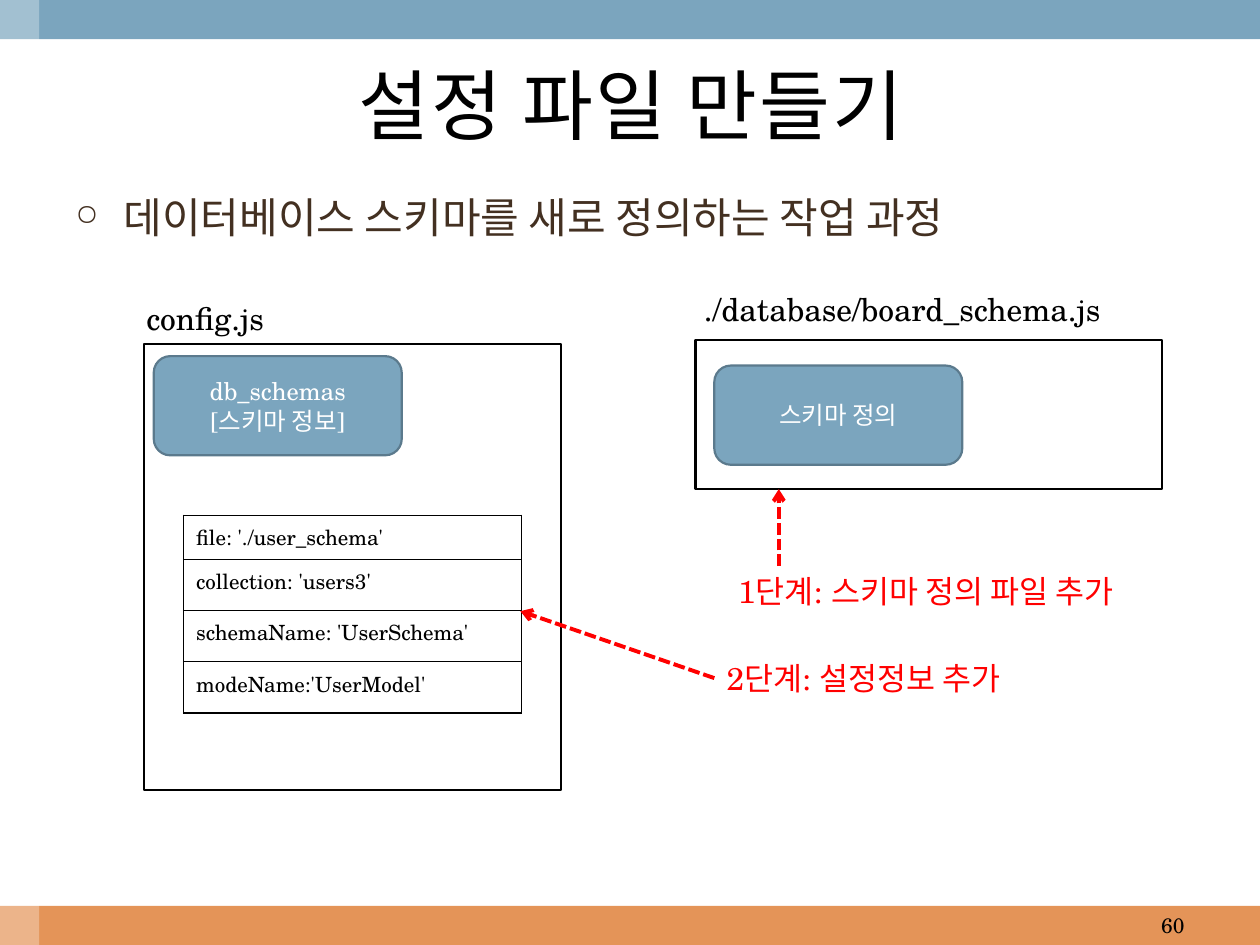
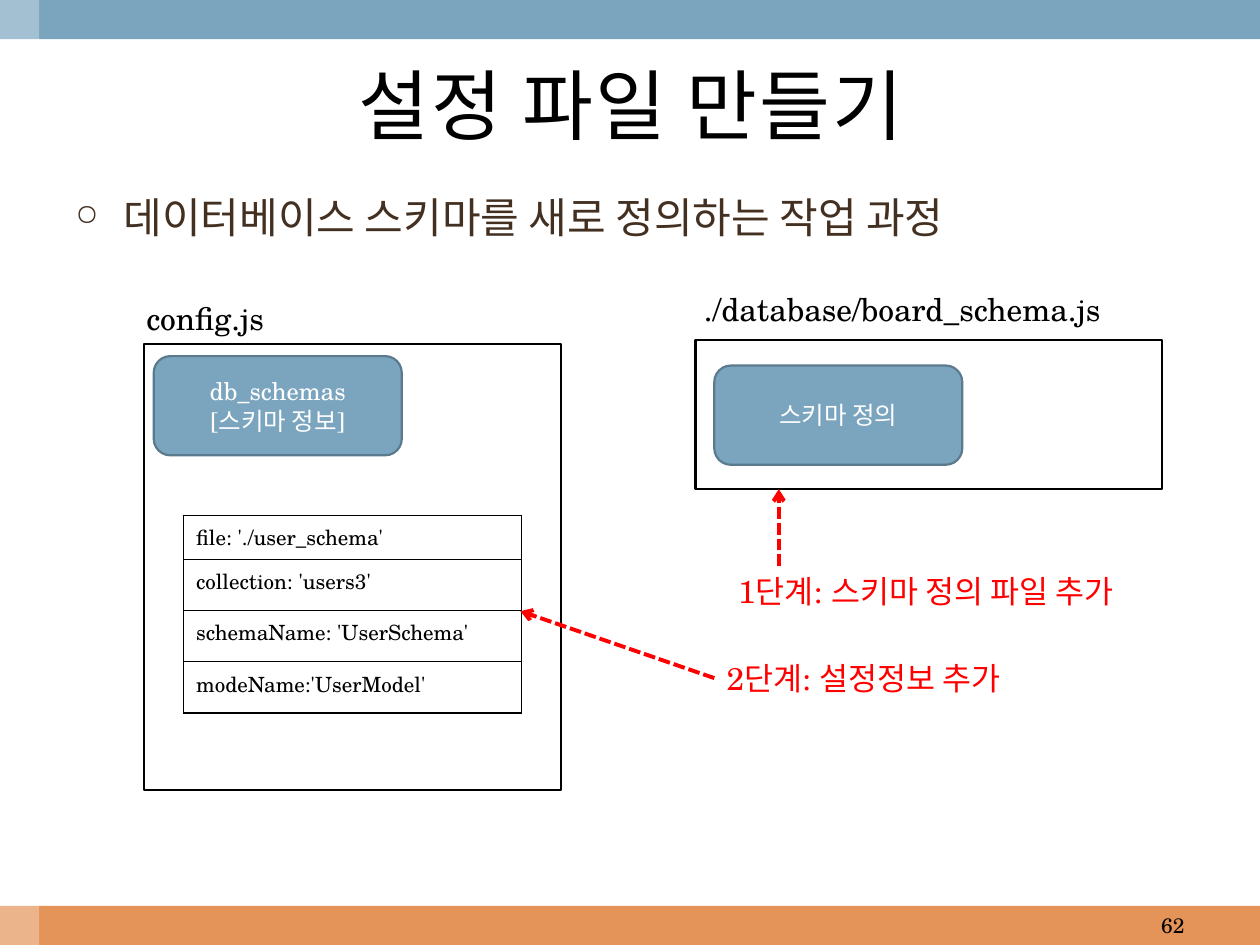
from lxml.etree import SubElement
from pptx import Presentation
from pptx.dml.color import RGBColor
from pptx.enum.dml import MSO_LINE
from pptx.enum.shapes import MSO_CONNECTOR, MSO_SHAPE
from pptx.enum.text import MSO_ANCHOR, PP_ALIGN
from pptx.oxml.ns import qn
from pptx.util import Cm, Pt

FONT = "TeX Gyre Schola"
BLACK, WHITE, RED = "000000", "FFFFFF", "FF0000"
BLUE, DARK_BLUE, ORANGE, BROWN = "7BA5BE", "5B7A8D", "E49458", "433021"
SLIDE_WIDTH, SLIDE_HEIGHT, BAND = 25.4, 19.05, 0.79
BLOCK_WIDTH, BLOCK_HEIGHT = 5, 2
LABEL_HEIGHT = 1.02
ROW_HEIGHTS = [0.89, 1.03, 1.03, 1.03]
SCHEMA_ENTRIES = [
    "file: './user_schema'",
    "collection: 'users3'",
    "schemaName: 'UserSchema'",
    "modeName:'UserModel'",
]


def color(hex_code):
    """Turn a hex string into a colour."""
    return RGBColor.from_string(hex_code)


def write_text(frame, text, size=18, ink=BLACK, align=PP_ALIGN.LEFT,
               anchor=MSO_ANCHOR.TOP, wrap=True, bullet=None, spacing=None):
    """Fill a text frame, one paragraph per line of text."""
    frame.word_wrap = wrap
    frame.vertical_anchor = anchor
    for index, line in enumerate(text.split("\n")):
        paragraph = frame.add_paragraph() if index else frame.paragraphs[0]
        paragraph.alignment = align
        if bullet:
            add_bullet(paragraph, bullet)
        run = paragraph.add_run()
        run.text = line
        run.font.name, run.font.size = FONT, Pt(size)
        run.font.color.rgb = color(ink)
        if spacing:
            run.font._element.set("spc", str(spacing))


def add_bullet(paragraph, character):
    """Give a paragraph a small bullet with a hanging indent."""
    properties = paragraph._p.get_or_add_pPr()
    properties.set("marL", str(Cm(0.97)))
    properties.set("indent", str(Cm(-0.97)))
    SubElement(properties, qn("a:buSzPct"), val="70000")
    SubElement(properties, qn("a:buChar"), char=character)


def add_text(slide, left, top, width, height, text, **style):
    """Add a text box and return it."""
    box = slide.shapes.add_textbox(Cm(left), Cm(top), Cm(width), Cm(height))
    write_text(box.text_frame, text, **style)
    return box


def add_box(slide, left, top, width, height, fill, line=None,
            kind=MSO_SHAPE.RECTANGLE):
    """Add a filled shape with an optional outline."""
    shape = slide.shapes.add_shape(kind, Cm(left), Cm(top), Cm(width), Cm(height))
    shape.shadow.inherit = False
    shape.fill.solid()
    shape.fill.fore_color.rgb = color(fill)
    if line:
        shape.line.color.rgb = color(line)
        shape.line.width = Pt(1.25)
    else:
        shape.line.fill.background()
    return shape


def add_block(slide, left, top, text):
    """Add a blue rounded block with centred text."""
    block = add_box(slide, left, top, BLOCK_WIDTH, BLOCK_HEIGHT, BLUE, DARK_BLUE,
                    MSO_SHAPE.ROUNDED_RECTANGLE)
    write_text(block.text_frame, text, size=14, ink=WHITE,
               align=PP_ALIGN.CENTER, anchor=MSO_ANCHOR.MIDDLE)


def add_arrow(slide, start_x, start_y, end_x, end_y):
    """Add a dashed red arrow and return it."""
    arrow = slide.shapes.add_connector(
        MSO_CONNECTOR.STRAIGHT, Cm(start_x), Cm(start_y), Cm(end_x), Cm(end_y))
    arrow.line.color.rgb = color(RED)
    arrow.line.width = Pt(2.25)
    arrow.line.dash_style = MSO_LINE.SQUARE_DOT
    properties = arrow._element.spPr
    SubElement(properties.find(qn("a:ln")), qn("a:tailEnd"), type="arrow")
    SubElement(properties, qn("a:effectLst"))
    return arrow


def border_cell(cell):
    """Draw thin black borders around a table cell."""
    properties = cell._tc.get_or_add_tcPr()
    for position, side in enumerate(("lnL", "lnR", "lnT", "lnB")):
        line = SubElement(properties, qn(f"a:{side}"), w=str(Pt(1)))
        fill = SubElement(line, qn("a:solidFill"))
        SubElement(fill, qn("a:srgbClr"), val=BLACK)
        properties.insert(position, line)


def add_entry_table(slide, left, top, width):
    """Add the one-column table of schema settings."""
    table = slide.shapes.add_table(
        len(SCHEMA_ENTRIES), 1, Cm(left), Cm(top), Cm(width),
        Cm(sum(ROW_HEIGHTS))).table
    table.first_row = table.horz_banding = False
    for row, height, entry in zip(table.rows, ROW_HEIGHTS, SCHEMA_ENTRIES):
        row.height = Cm(height)
        cell = row.cells[0]
        cell.fill.solid()
        cell.fill.fore_color.rgb = color(WHITE)
        write_text(cell.text_frame, entry, size=12)
        border_cell(cell)


def add_frame(slide, page):
    """Draw the bands, the pale left strip and the page number."""
    footer_top = SLIDE_HEIGHT - BAND
    add_box(slide, 0, footer_top, SLIDE_WIDTH, BAND, ORANGE)
    add_box(slide, 0, 0, SLIDE_WIDTH, BAND, BLUE)
    strip = add_box(slide, 0, 0, BAND, SLIDE_HEIGHT, WHITE)
    strip_color = strip._element.spPr.find(f".//{qn('a:srgbClr')}")
    SubElement(strip_color, qn("a:alpha"), val="30000")
    add_text(slide, 18.21, footer_top, 5.92, BAND, str(page), size=12,
             align=PP_ALIGN.RIGHT, anchor=MSO_ANCHOR.MIDDLE)


def set_title(slide, text):
    """Place and format the title placeholder."""
    title = slide.shapes.title
    title.left, title.top = Cm(0.84), Cm(BAND)
    title.width, title.height = Cm(23.77), Cm(2.62)
    write_text(title.text_frame, text, size=44, align=PP_ALIGN.CENTER,
               anchor=MSO_ANCHOR.MIDDLE, spacing=100)


def add_config_panel(slide, left, top, width, height):
    """Draw the config.js panel with its block and settings table."""
    add_box(slide, left, top, width, height, WHITE, BLACK)
    add_text(slide, left - 0.2, top - LABEL_HEIGHT, 2.9, LABEL_HEIGHT,
             "config.js", wrap=False)
    add_block(slide, left + 0.2, top + 0.25, "db_schemas\n[스키마 정보]")
    add_entry_table(slide, left + 0.8, top + 3.46, 6.81)


def add_schema_panel(slide, left, top, width, height):
    """Draw the schema file panel with its block."""
    add_box(slide, left, top, width, height, WHITE, BLACK)
    add_text(slide, left - 0.08, top - 1.14, 8.66, LABEL_HEIGHT,
             "./database/board_schema.js", wrap=False)
    add_block(slide, left + 0.38, top + 0.51, "스키마 정의")


def add_steps(slide, left, top):
    """Write the two red steps and point them at their targets."""
    add_text(slide, left + 0.23, top, 8.66, LABEL_HEIGHT,
             "1단계: 스키마 정의 파일 추가", ink=RED, wrap=False)
    second_top = top + 1.75
    second_step = add_text(slide, left, second_top, 6.5, LABEL_HEIGHT,
                           "2단계: 설정정보 추가", ink=RED)
    add_arrow(slide, left + 1.3, top, left + 1.3, top - 1.55)
    arrow = add_arrow(slide, left, second_top + LABEL_HEIGHT / 2,
                      left - 3.91, top + 0.91)
    arrow.begin_connect(second_step, 1)


def add_schema_slide(presentation, page):
    """Build one slide on defining a new database schema."""
    slide = presentation.slides.add_slide(presentation.slide_layouts[5])
    add_frame(slide, page)
    set_title(slide, "설정 파일 만들기")
    add_text(slide, 1.27, 3.73, 22.86, 1.68,
             "데이터베이스 스키마를 새로 정의하는 작업 과정",
             size=24, ink=BROWN, bullet="○")
    add_config_panel(slide, 2.9, 6.93, 8.41, 9)
    add_schema_panel(slide, 14.02, 6.86, 9.4, 3)
    add_steps(slide, 14.4, 11.41)


def main():
    """Build and save the presentation."""
    presentation = Presentation()
    presentation.slide_width = Cm(SLIDE_WIDTH)
    presentation.slide_height = Cm(SLIDE_HEIGHT)
    for page in (60, 62):
        add_schema_slide(presentation, page)
    presentation.save("out.pptx")


if __name__ == "__main__":
    main()
